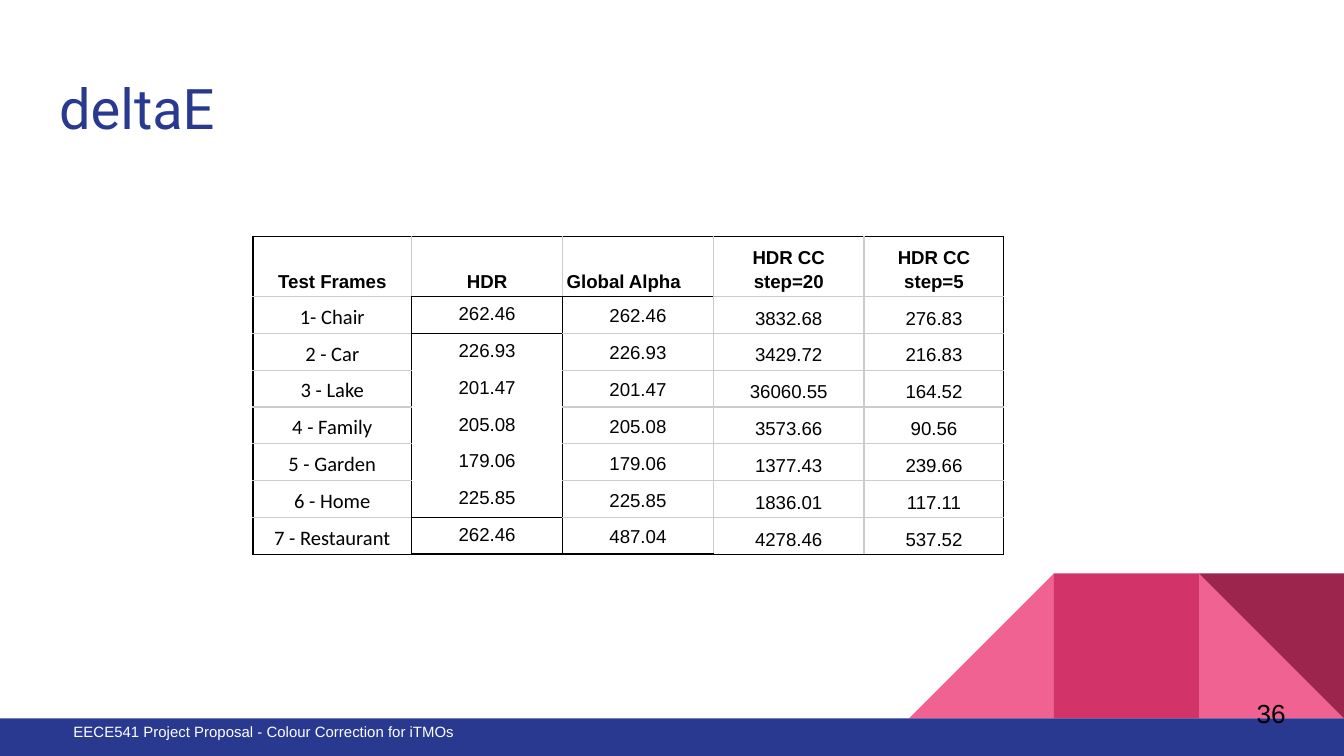
from lxml import etree
from pptx import Presentation, util as u
from pptx.dml.color import RGBColor
from pptx.enum import shapes, text
from pptx.oxml.ns import qn

# Content
TITLE = "deltaE"
FOOTER = "EECE541 Project Proposal - Colour Correction for iTMOs"
PAGE = "36"
HEADINGS = ["Test Frames", "HDR", "Global Alpha", "HDR CC step=20", "HDR CC step=5"]
RESULTS = [
    ["1- Chair", "262.46", "262.46", "3832.68", "276.83"],
    ["2 - Car", "226.93", "226.93", "3429.72", "216.83"],
    ["3 - Lake", "201.47", "201.47", "36060.55", "164.52"],
    ["4 - Family", "205.08", "205.08", "3573.66", "90.56"],
    ["5 - Garden", "179.06", "179.06", "1377.43", "239.66"],
    ["6 - Home", "225.85", "225.85", "1836.01", "117.11"],
    ["7 - Restaurant", "262.46", "487.04", "4278.46", "537.52"],
]
ROWS = [HEADINGS] + RESULTS

# Look
NAVY, PINK, ROSE, WINE = "2A3990", "F06292", "D23369", "9C254D"
BLACK, WHITE, GREY = "000000", "FFFFFF", "CCCCCC"
TOP, MIDDLE, BOTTOM = text.MSO_ANCHOR.TOP, text.MSO_ANCHOR.MIDDLE, text.MSO_ANCHOR.BOTTOM
COLUMN_WIDTHS = [3, 2.85, 2.85, 2.85, 2.64]
COLUMN_ANCHORS = [MIDDLE, TOP, MIDDLE, BOTTOM, BOTTOM]
HEADING_HEIGHT, ROW_HEIGHT = 1.04, 0.69

# Grid lines (colour, points); None is an invisible line
FINE, THIN, STRONG, HEAVY = (GREY, 0.75), (BLACK, 0.75), (BLACK, 1), (BLACK, 1.5)
VERTICALS = [THIN, STRONG, THIN, FINE, FINE, THIN]
SPECIAL_HORIZONTALS = {(1, 1): STRONG, (1, 2): THIN, (2, 1): THIN, (7, 1): STRONG,
                       (8, 1): STRONG, (8, 2): HEAVY}
SPECIAL_HORIZONTALS.update({(line, 1): None for line in range(3, 7)})


def colour(code):
    return RGBColor.from_string(code)


def style(paragraph, size, face, code, bold=False):
    for run in paragraph.runs:
        run.font.size, run.font.name, run.font.bold = u.Pt(size), face, bold
        run.font.color.rgb = colour(code)


def add_block(slide, kind, left, top, width, height, code):
    block = slide.shapes.add_shape(kind, u.Cm(left), u.Cm(top), u.Cm(width), u.Cm(height))
    block.shadow.inherit = False
    block.fill.solid()
    block.fill.fore_color.rgb = colour(code)
    block.line.fill.background()
    return block


def add_text(slide, words, left, top, width, height, size, face, code, anchor=TOP):
    frame = slide.shapes.add_textbox(
        u.Cm(left), u.Cm(top), u.Cm(width), u.Cm(height)).text_frame
    frame.word_wrap, frame.vertical_anchor = True, anchor
    frame.margin_left = frame.margin_right = u.Cm(0.25)
    frame.margin_top = frame.margin_bottom = u.Cm(0.25)
    frame.text = words
    style(frame.paragraphs[0], size, face, code)


def vertical(row, line):
    return FINE if row == 0 and line in (1, 2) else VERTICALS[line]


def horizontal(line, column):
    outer = THIN if line in (0, len(ROWS)) else FINE
    return SPECIAL_HORIZONTALS.get((line, column), outer)


def set_borders(cell, row, column):
    edges = {"a:lnL": vertical(row, column), "a:lnR": vertical(row, column + 1),
             "a:lnT": horizontal(row, column), "a:lnB": horizontal(row + 1, column)}
    properties = cell._tc.get_or_add_tcPr()
    for tag, edge in edges.items():
        border = etree.SubElement(properties, qn(tag))
        if edge is None:
            etree.SubElement(border, qn("a:noFill"))
            continue
        code, points = edge
        border.set("w", str(u.Pt(points)))
        fill = etree.SubElement(border, qn("a:solidFill"))
        etree.SubElement(fill, qn("a:srgbClr"), val=code)


def fill_cell(cell, row, column):
    cell.margin_left = cell.margin_right = u.Cm(0.08)
    cell.margin_top = cell.margin_bottom = u.Cm(0.08)
    cell.vertical_anchor = BOTTOM if row == 0 else COLUMN_ANCHORS[column]
    cell.text = ROWS[row][column]
    entry = cell.text_frame.paragraphs[0]
    entry.line_spacing = 1.15
    left_aligned = (row, column) == (0, 2)
    entry.alignment = text.PP_ALIGN.LEFT if left_aligned else text.PP_ALIGN.CENTER
    frame_name = row > 0 and column == 0
    style(entry, 11 if frame_name else 10, "Calibri" if frame_name else "Arial",
          BLACK, bold=row == 0)
    set_borders(cell, row, column)
    cell.fill.background()


def add_results(slide):
    heights = [HEADING_HEIGHT] + [ROW_HEIGHT] * len(RESULTS)
    results = slide.shapes.add_table(
        len(ROWS), len(HEADINGS), u.Cm(4.78), u.Cm(4.47),
        u.Cm(sum(COLUMN_WIDTHS)), u.Cm(sum(heights))).table
    results.first_row = results.horz_banding = False
    for column, width in enumerate(COLUMN_WIDTHS):
        results.columns[column].width = u.Cm(width)
    for row, height in enumerate(heights):
        results.rows[row].height = u.Cm(height)
        for column in range(len(HEADINGS)):
            fill_cell(results.cell(row, column), row, column)


def add_decoration(slide):
    triangle, rectangle = shapes.MSO_SHAPE.RIGHT_TRIANGLE, shapes.MSO_SHAPE.RECTANGLE
    side, top = 2.74, 10.84
    lefts = [25.4 - side * count for count in (3, 2, 1)]
    add_block(slide, triangle, lefts[2], top, side, side, PINK)
    slope = add_block(slide, triangle, lefts[0], top, side, side, PINK)
    slope._element.spPr.get_or_add_xfrm().set("flipH", "1")
    add_block(slide, rectangle, lefts[1], top, side, side, ROSE)
    corner = add_block(slide, triangle, lefts[2], top, side, side, WINE)
    corner.rotation = 180
    add_block(slide, rectangle, 0, top + side, 25.4, 0.71, NAVY)


def main():
    deck = Presentation()
    deck.slide_width, deck.slide_height = u.Cm(25.4), u.Cm(14.29)
    slide = deck.slides.add_slide(deck.slide_layouts[6])
    add_decoration(slide)
    add_text(slide, FOOTER, 1.14, 13.49, 13.82, 0.8, 8, "Arial", WHITE)
    add_text(slide, TITLE, 0.87, 1.15, 23.67, 1.68, 30, "Roboto", NAVY)
    add_results(slide)
    add_text(slide, PAGE, 23.5, 12.93, 1.52, 1.09, 14, "Arial", BLACK, MIDDLE)
    deck.save("out.pptx")


if __name__ == "__main__":
    main()
